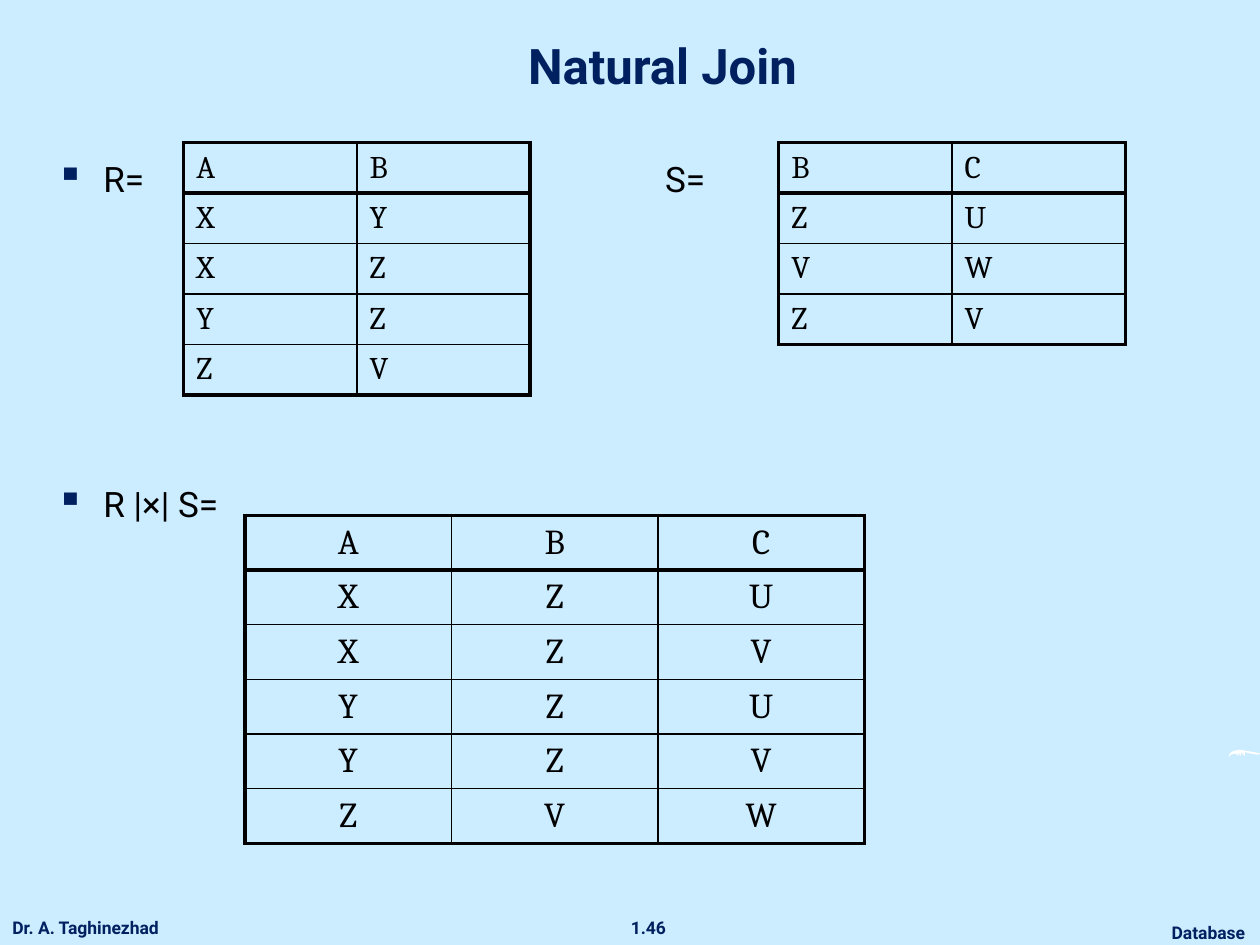
from lxml import etree
from pptx import Presentation
from pptx.dml.color import RGBColor
from pptx.enum.text import MSO_ANCHOR as Anchor, PP_ALIGN as Align
from pptx.oxml.ns import qn
from pptx.util import Pt

INK = {"sky": "CCECFF", "navy": "002060", "black": "000000", "white": "FFFFFF"}
THIN, THICK = 1, 2.25

# Each relation lists its header, then its rows.
R = ["AB", "XY", "XZ", "YZ", "ZV"]
S = ["BC", "ZU", "VW", "ZV"]
JOIN = ["ABC", "XZU", "XZV", "YZU", "YZV", "ZVW"]

# Outline of the white feather, in tenths of a point.
FEATHER = [
    (7020, 4327), (7027, 4306), (7049, 4291), (7085, 4284), (7121, 4291),
    (7164, 4298), (7200, 4306), (7193, 4313), (7171, 4310), (7142, 4306),
    (7114, 4298), (7114, 4320), (7092, 4298), (7092, 4320), (7070, 4298),
    (7078, 4320), (7056, 4306), (7034, 4313),
]


def color(name):
    return RGBColor.from_string(INK[name])


def add_bullet(para):
    props = para._p.get_or_add_pPr()
    props.set("marL", str(Pt(27)))
    props.set("indent", str(-Pt(27)))
    tint = etree.SubElement(props, qn("a:buClr"))
    etree.SubElement(tint, qn("a:srgbClr"), val=INK["navy"])
    etree.SubElement(props, qn("a:buSzPct"), val="110000")
    etree.SubElement(props, qn("a:buChar"), char="▪")


def write(frame, words, size=20, face="Roboto", ink="black", bold=False,
          align=Align.LEFT, bullet=False):
    para = frame.paragraphs[0]
    para.alignment = align
    if bullet:
        add_bullet(para)
    run = para.add_run()
    run.text = words
    font = run.font
    font.size, font.name, font.bold = Pt(size), face, bold
    font.color.rgb = color(ink)


def add_text(slide, words, left, top, width, height, anchor=Anchor.TOP,
             wrap=True, **style):
    box = slide.shapes.add_textbox(Pt(left), Pt(top), Pt(width), Pt(height))
    frame = box.text_frame
    frame.word_wrap = wrap
    frame.vertical_anchor = anchor
    write(frame, words, **style)


def set_edges(cell, widths):
    """Draw the cell's borders; widths run left, right, top, bottom."""
    props = cell._tc.get_or_add_tcPr()
    for spot, (side, width) in enumerate(zip("LRTB", widths)):
        line = etree.Element(qn(f"a:ln{side}"), w=str(Pt(width)))
        fill = etree.SubElement(line, qn("a:solidFill"))
        etree.SubElement(fill, qn("a:srgbClr"), val=INK["black"])
        props.insert(spot, line)


def add_grid(slide, rows, left, top, wide, high, **style):
    """Add a relation with a heavy frame and a heavy line below its header."""
    count, span = len(rows), len(rows[0])
    grid = slide.shapes.add_table(count, span, Pt(left), Pt(top),
                                  Pt(wide * span), Pt(high * count)).table
    grid.first_row = grid.horz_banding = False
    for col in grid.columns:
        col.width = Pt(wide)
    for i, row in enumerate(rows):
        grid.rows[i].height = Pt(high)
        for j, value in enumerate(row):
            cell = grid.cell(i, j)
            cell.vertical_anchor = Anchor.MIDDLE
            cell.fill.background()
            heavy = (j == 0, j == span - 1, i < 2, i in (0, count - 1))
            set_edges(cell, [THICK if edge else THIN for edge in heavy])
            write(cell.text_frame, value, face="Cambria", **style)


def add_feather(slide):
    pen = slide.shapes.build_freeform(*FEATHER[0], scale=Pt(0.1))
    pen.add_line_segments(FEATHER[1:], close=True)
    shape = pen.convert_to_shape()
    shape.shadow.inherit = False
    shape.fill.solid()
    shape.fill.fore_color.rgb = color("white")
    shape.line.fill.background()


def add_footer(slide):
    style = {"size": 10, "ink": "navy", "bold": True, "wrap": False}
    add_text(slide, "Database", 661, 523.5, 59, 19.4, align=Align.CENTER, **style)
    add_text(slide, "1.46", 353, 520.5, 35, 19.4, align=Align.CENTER, **style)
    add_text(slide, "Dr. A. Taghinezhad", 0, 520.5, 106, 19.4, **style)


def main():
    deck = Presentation()
    deck.slide_width, deck.slide_height = Pt(720), Pt(540)
    slide = deck.slides.add_slide(deck.slide_layouts[6])
    slide.background.fill.solid()
    slide.background.fill.fore_color.rgb = color("sky")

    add_footer(slide)
    add_feather(slide)
    add_text(slide, "Natural Join", 60.5, 9.5, 636, 48, anchor=Anchor.BOTTOM,
             size=28, ink="navy", bold=True, align=Align.CENTER)

    add_text(slide, "R=", 25, 86.5, 78, 31, bullet=True)
    add_text(slide, "S=", 373, 86.5, 60, 31)
    add_text(slide, "R |×| S=", 25, 272, 112, 31, bullet=True)

    add_grid(slide, R, 105, 81.5, 99, 28, size=18)
    add_grid(slide, S, 445, 81.5, 99, 28, size=18)
    add_grid(slide, JOIN, 140, 294.5, 118, 30.3, align=Align.CENTER)

    deck.save("out.pptx")


if __name__ == "__main__":
    main()
